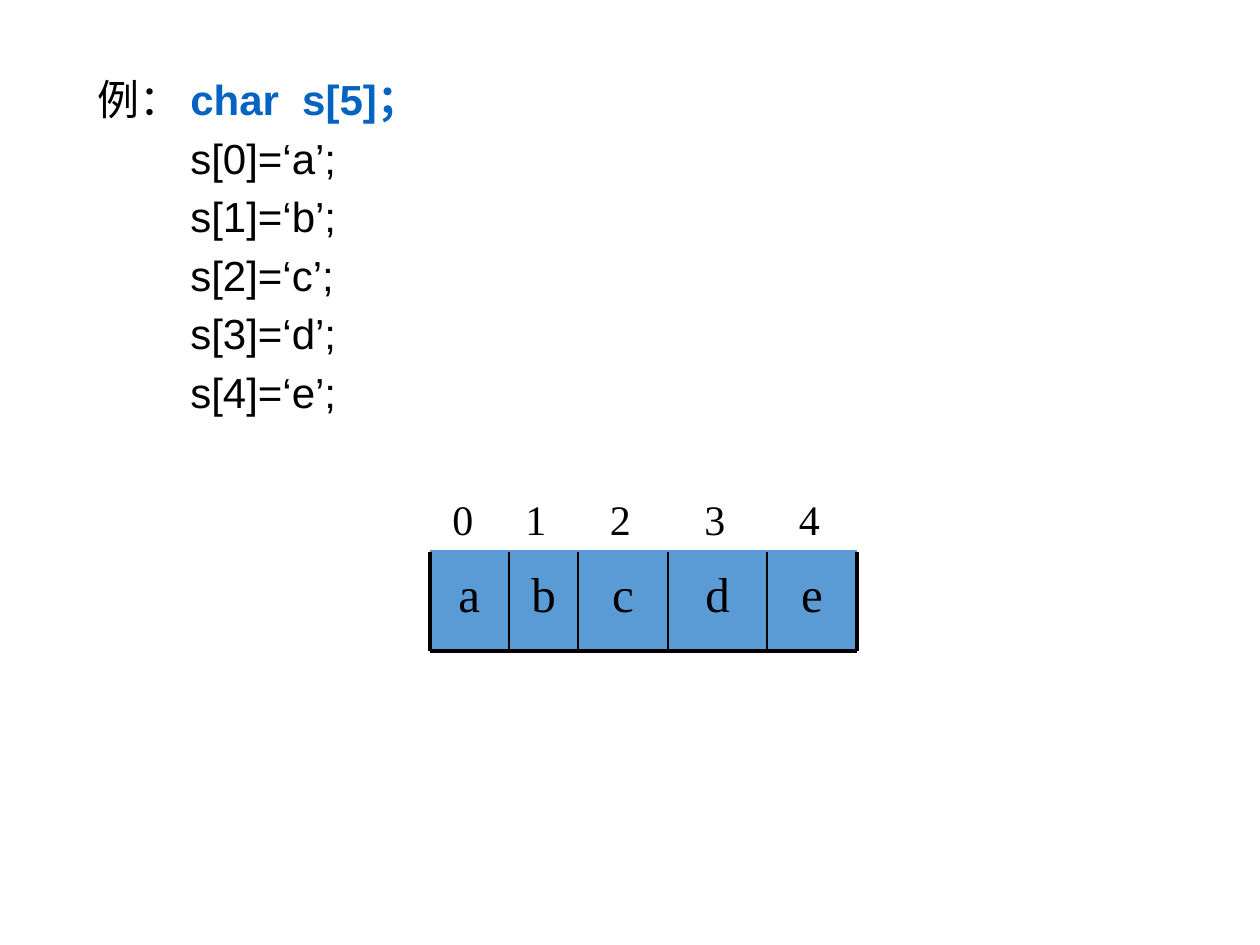
from itertools import accumulate

from lxml import etree
from pptx import Presentation
from pptx.dml.color import RGBColor
from pptx.enum.shapes import MSO_CONNECTOR, MSO_SHAPE
from pptx.enum.text import MSO_ANCHOR, MSO_AUTO_SIZE, PP_ALIGN
from pptx.oxml.ns import qn
from pptx.util import Inches, Pt

STRAIGHT = MSO_CONNECTOR.STRAIGHT
RECTANGLE = MSO_SHAPE.RECTANGLE
TOP = MSO_ANCHOR.TOP
CENTER = PP_ALIGN.CENTER
NO_AUTOFIT = MSO_AUTO_SIZE.NONE

BLACK, CELL_BLUE, CODE_BLUE = "000000", "5B9BD5", "0563C1"
LETTERS = "abcde"
CELL_WIDTHS = [0.63, 0.55, 0.71, 0.79, 0.71]
ARRAY_LEFT, ARRAY_TOP, ARRAY_HEIGHT = 3.41, 4.38, 0.79
CODE_INDENT = 0.74
INDEX_TABS = [0.58, 1.25, 2, 2.75]


def color(value):
    return RGBColor.from_string(value)


def format_span(span, size, face, ink=BLACK, bold=False):
    span.font.size = Pt(size)
    span.font.name = face
    span.font.color.rgb = color(ink)
    span.font.bold = bold


def set_insets(frame, left, top):
    frame.margin_left, frame.margin_right = Inches(left), Inches(0.1)
    frame.margin_top, frame.margin_bottom = Inches(top), Inches(0.05)
    frame.vertical_anchor = TOP


def set_tabs(para, stops):
    tabs = etree.SubElement(para._p.get_or_add_pPr(), qn("a:tabLst"))
    for stop in stops:
        etree.SubElement(tabs, qn("a:tab"), pos=str(Inches(stop)), algn="l")


def format_code_line(para, hanging):
    """Align code at one indent; a hanging line starts with a label."""
    para.line_spacing = 0.9
    para.space_before = Pt(7.5)
    properties = para._p.get_or_add_pPr()
    properties.set("marL", str(Inches(CODE_INDENT)))
    properties.set("indent", str(Inches(-CODE_INDENT if hanging else 0)))
    etree.SubElement(properties, qn("a:buNone"))


def fill_body(body):
    body.left, body.top = Inches(0.67), Inches(0.58)
    body.width, body.height = Inches(7.83), Inches(6.5)
    frame = body.text_frame
    frame.auto_size = NO_AUTOFIT

    # Declaration with its label
    para = frame.paragraphs[0]
    format_code_line(para, hanging=True)
    for words, ink, bold in [("例：\t", BLACK, False),
                             ("char  s[5]；", CODE_BLUE, True)]:
        span = para.add_run()
        span.text = words
        format_span(span, 24, "Arial", ink, bold)

    # One assignment per element
    for index, letter in enumerate(LETTERS):
        para = frame.add_paragraph()
        para.text = f"s[{index}]=‘{letter}’;"
        format_code_line(para, hanging=False)
        format_span(para.runs[0], 24, "Arial")


def add_cell(group, left, width, letter):
    cell = group.shapes.add_shape(
        RECTANGLE, Inches(left), Inches(ARRAY_TOP),
        Inches(width), Inches(ARRAY_HEIGHT))
    cell.shadow.inherit = False
    cell.fill.solid()
    cell.fill.fore_color.rgb = color(CELL_BLUE)
    cell.line.fill.background()
    frame = cell.text_frame
    frame.text = letter
    set_insets(frame, 0.1, 0.09)
    frame.paragraphs[0].alignment = CENTER
    format_span(frame.paragraphs[0].runs[0], 28, "Times New Roman")


def add_line(group, start, end, ink, weight):
    points = [Inches(value) for value in (*start, *end)]
    line = group.shapes.add_connector(STRAIGHT, *points)
    line.line.color.rgb = color(ink)
    line.line.width = Pt(weight)
    etree.SubElement(line._element.spPr, qn("a:effectLst"))


def add_index_row(group, width):
    box = group.shapes.add_textbox(
        Inches(ARRAY_LEFT), Inches(3.83), Inches(width), Inches(0.5))
    frame = box.text_frame
    frame.word_wrap = True
    set_insets(frame, 0.18, 0.09)
    para = frame.paragraphs[0]
    set_tabs(para, INDEX_TABS)
    span = para.add_run()
    span.text = "\t".join(str(index) for index in range(len(LETTERS)))
    format_span(span, 24, "Times New Roman")


def add_array(slide):
    group = slide.shapes.add_group_shape()
    edges = list(accumulate(CELL_WIDTHS, initial=ARRAY_LEFT))
    left, right = edges[0], edges[-1]
    bottom = ARRAY_TOP + ARRAY_HEIGHT

    # Cells
    for edge, width, letter in zip(edges, CELL_WIDTHS, LETTERS):
        add_cell(group, edge, width, letter)

    # Top and bottom borders, then sides and dividers
    for y, ink in [(ARRAY_TOP, CELL_BLUE), (bottom, BLACK)]:
        add_line(group, (left, y), (right, y), ink, 2.25)
    for x in edges:
        weight = 2.25 if x in (left, right) else 1
        add_line(group, (x, ARRAY_TOP), (x, bottom), BLACK, weight)

    add_index_row(group, right - left)


def main():
    deck = Presentation()
    deck.slide_width, deck.slide_height = Inches(10), Inches(7.5)
    slide = deck.slides.add_slide(deck.slide_layouts[1])
    title = slide.shapes.title._element
    title.getparent().remove(title)
    fill_body(slide.placeholders[1])
    add_array(slide)
    deck.save("out.pptx")


if __name__ == "__main__":
    main()
